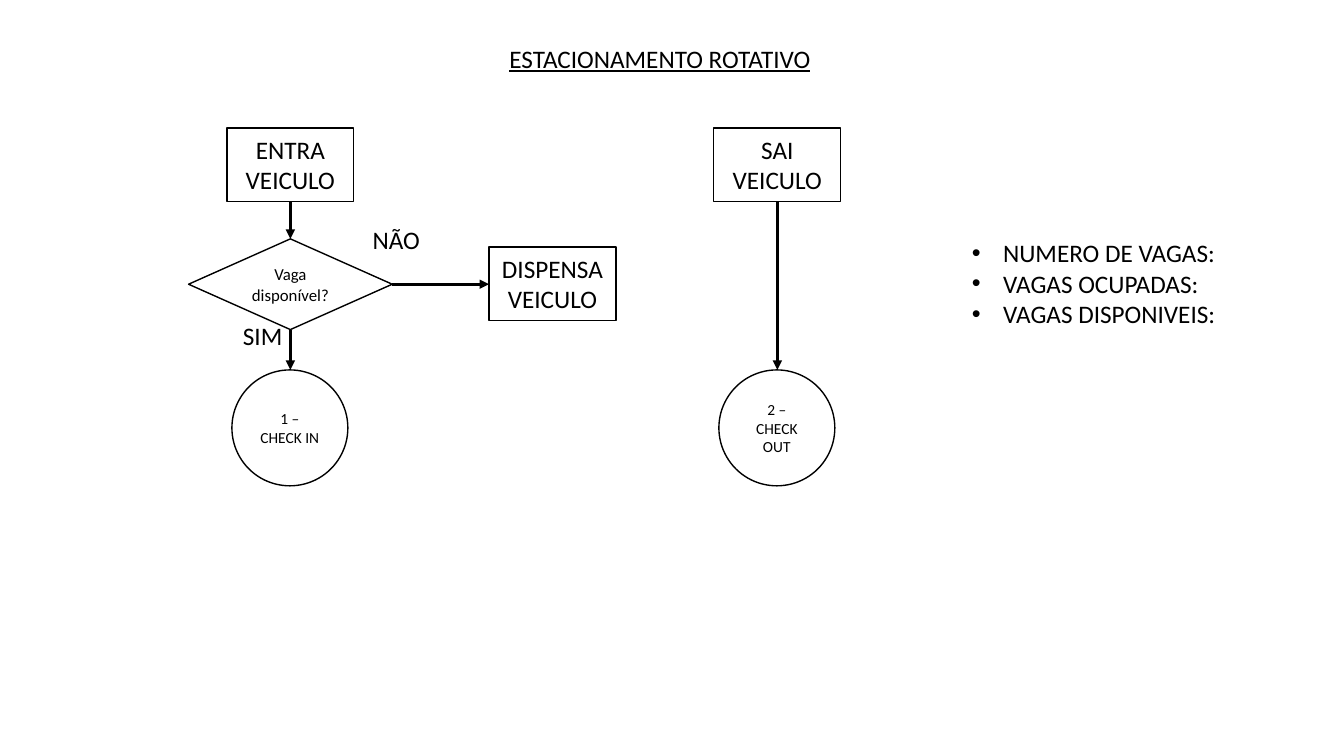
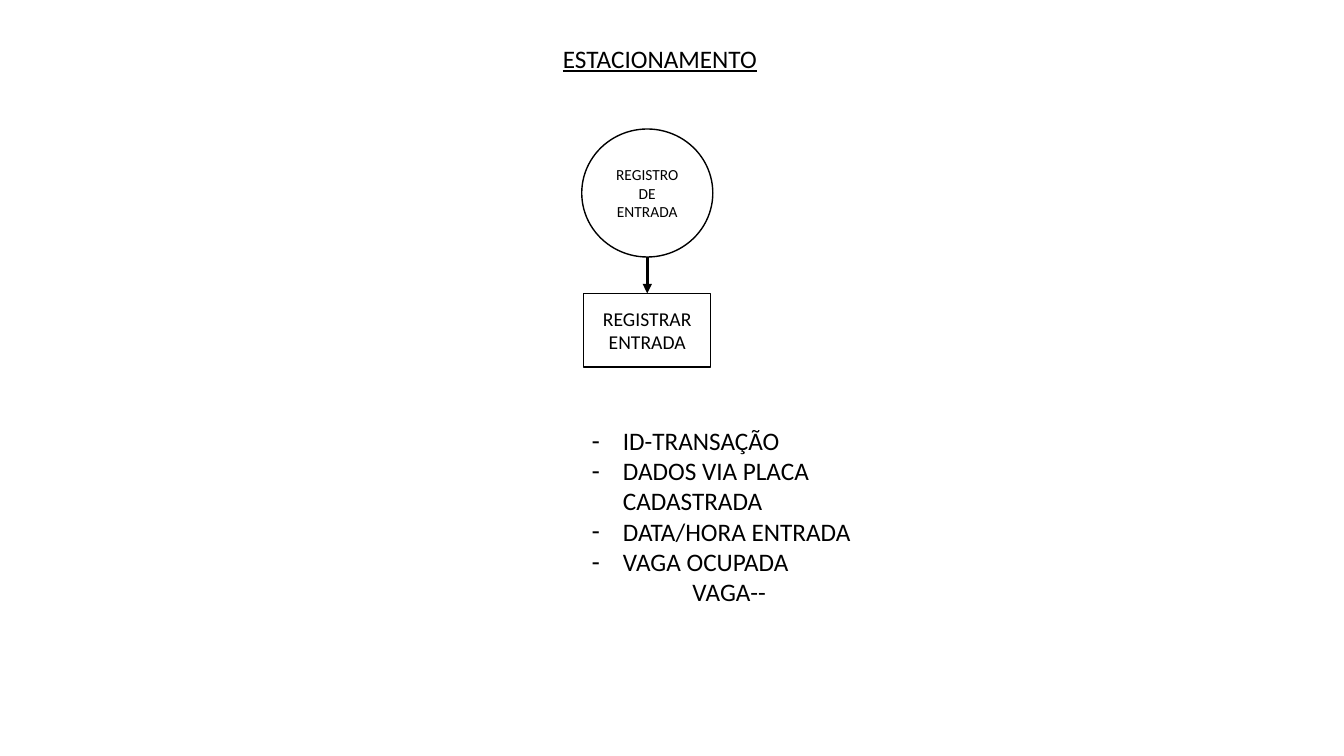
from dataclasses import dataclass

from lxml import etree
from pptx import Presentation
from pptx import util as u
from pptx.dml.color import RGBColor
from pptx.enum import shapes, text
from pptx.oxml.ns import qn


@dataclass(frozen=True)
class Theme:
    font: str = "Calibri"
    ink: RGBColor = RGBColor(0, 0, 0)
    paper: RGBColor = RGBColor(255, 255, 255)
    body: float = 18
    medium: float = 14
    small: float = 12
    tiny: float = 11
    outline: float = 1
    arrow: float = 2.25
    indent: float = 0.31


def write(frame, lines, theme, size=None, align=None, underline=False,
          bullet=None, indent=0):
    """Add one paragraph per line; a bullet gives a hanging indent."""
    for index, line in enumerate(lines):
        para = frame.paragraphs[0] if index == 0 and not frame.text else frame.add_paragraph()
        para.alignment = align
        span = para.add_run()
        span.text = line
        span.font.name = theme.font
        span.font.size = u.Pt(size or theme.body)
        span.font.color.rgb = theme.ink
        if underline:
            span.font.underline = True
        layout = para._p.get_or_add_pPr()
        if bullet:
            layout.set("marL", str(u.Inches(theme.indent)))
            layout.set("indent", str(-u.Inches(theme.indent)))
            etree.SubElement(layout, qn("a:buFont")).set("typeface", "Arial")
            etree.SubElement(layout, qn("a:buChar")).set("char", bullet)
        elif indent:
            layout.set("marL", str(u.Inches(indent)))


class Flowchart:
    """Holds the deck, its theme and the current slide."""

    def __init__(self, theme):
        self.theme = theme
        self.deck = Presentation()
        self.deck.slide_width = u.Inches(13.33)
        self.deck.slide_height = u.Inches(7.5)
        self.page = None

    def new_page(self, title):
        self.page = self.deck.slides.add_slide(self.deck.slide_layouts[6])
        self.label(title, 3.69, 0.38, 5.71, underline=True)

    def label(self, line, left, top, width, **style):
        return self.text_box([line], left, top, width, 0.4,
                             align=text.PP_ALIGN.CENTER, **style)

    def text_box(self, lines, left, top, width, height, **style):
        box = self.page.shapes.add_textbox(*map(u.Inches, (left, top, width, height)))
        box.text_frame.word_wrap = True
        box.text_frame.auto_size = text.MSO_AUTO_SIZE.SHAPE_TO_FIT_TEXT
        write(box.text_frame, lines, self.theme, **style)
        return box

    def node(self, kind, line, left, top, width, height, size=None, filled=True):
        box = self.page.shapes.add_shape(kind, *map(u.Inches, (left, top, width, height)))
        box.shadow.inherit = False
        if filled:
            box.fill.solid()
            box.fill.fore_color.rgb = self.theme.paper
        else:
            box.fill.background()
        box.line.color.rgb = self.theme.ink
        box.line.width = u.Pt(self.theme.outline)
        box.text_frame.word_wrap = True
        box.text_frame.vertical_anchor = text.MSO_ANCHOR.MIDDLE
        write(box.text_frame, [line], self.theme, size=size, align=text.PP_ALIGN.CENTER)
        return box

    def step(self, line, left, top, size=None):
        return self.node(shapes.MSO_SHAPE.RECTANGLE, line, left, top, 1.26, 0.73, size)

    def decision(self, line, left, top):
        return self.node(shapes.MSO_SHAPE.DIAMOND, line, left, top, 2.02, 0.9, self.theme.small)

    def circle(self, line, left, top, width=1.15, height=1.15):
        return self.node(shapes.MSO_SHAPE.OVAL, line, left, top, width, height,
                         self.theme.tiny, filled=False)

    def arrow_down(self, upper, lower):
        middle = upper.left + upper.width // 2
        self.arrow(middle, upper.top + upper.height, middle, lower.top)

    def arrow_right(self, first, second):
        middle = first.top + first.height // 2
        self.arrow(first.left + first.width, middle, second.left, middle)

    def arrow(self, *ends):
        link = self.page.shapes.add_connector(shapes.MSO_CONNECTOR.STRAIGHT, *ends)
        link.line.color.rgb = self.theme.ink
        link.line.width = u.Pt(self.theme.arrow)
        etree.SubElement(link.line._get_or_add_ln(), qn("a:tailEnd")).set("type", "triangle")
        etree.SubElement(link._element.spPr, qn("a:effectLst"))


theme = Theme()
chart = Flowchart(theme)

# Slide 1: vehicle entry
chart.new_page("ESTACIONAMENTO ROTATIVO")
entry = chart.step("ENTRA VEICULO", 2.25, 1.27)
refusal = chart.step("DISPENSA VEICULO", 4.85, 2.45)
vacancy = chart.decision("Vaga disponível?", 1.87, 2.37)
check_in = chart.circle("1 – CHECK IN", 2.3, 3.67)
chart.arrow_down(entry, vacancy)
chart.arrow_right(vacancy, refusal)
chart.arrow_down(vacancy, check_in)
chart.label("NÃO", 3.58, 2.18, 0.7)
chart.label("SIM", 2.29, 3.13, 0.63)

# Slide 1: vehicle exit and counters
departure = chart.step("SAI VEICULO", 7.08, 1.27)
check_out = chart.circle("2 – CHECK OUT", 7.13, 3.67)
chart.arrow_down(departure, check_out)
chart.text_box(["NUMERO DE VAGAS:", "VAGAS OCUPADAS:", "VAGAS DISPONIVEIS:"],
               9.54, 2.31, 2.92, 1.01, bullet="•")

# Slide 2: entry record
chart.new_page("ESTACIONAMENTO")
record = chart.circle("REGISTRO DE ENTRADA", 5.77, 1.28, 1.3, 1.27)
register = chart.step("REGISTRAR ENTRADA", 5.79, 2.91, theme.medium)
chart.arrow_down(record, register)
fields = chart.text_box(
    ["ID-TRANSAÇÃO", "DADOS VIA PLACA CADASTRADA", "DATA/HORA ENTRADA", "VAGA OCUPADA"],
    5.77, 4.17, 3.2, 1.92, bullet="-")
write(fields.text_frame, ["VAGA--"], theme, indent=1)

chart.deck.save("out.pptx")
